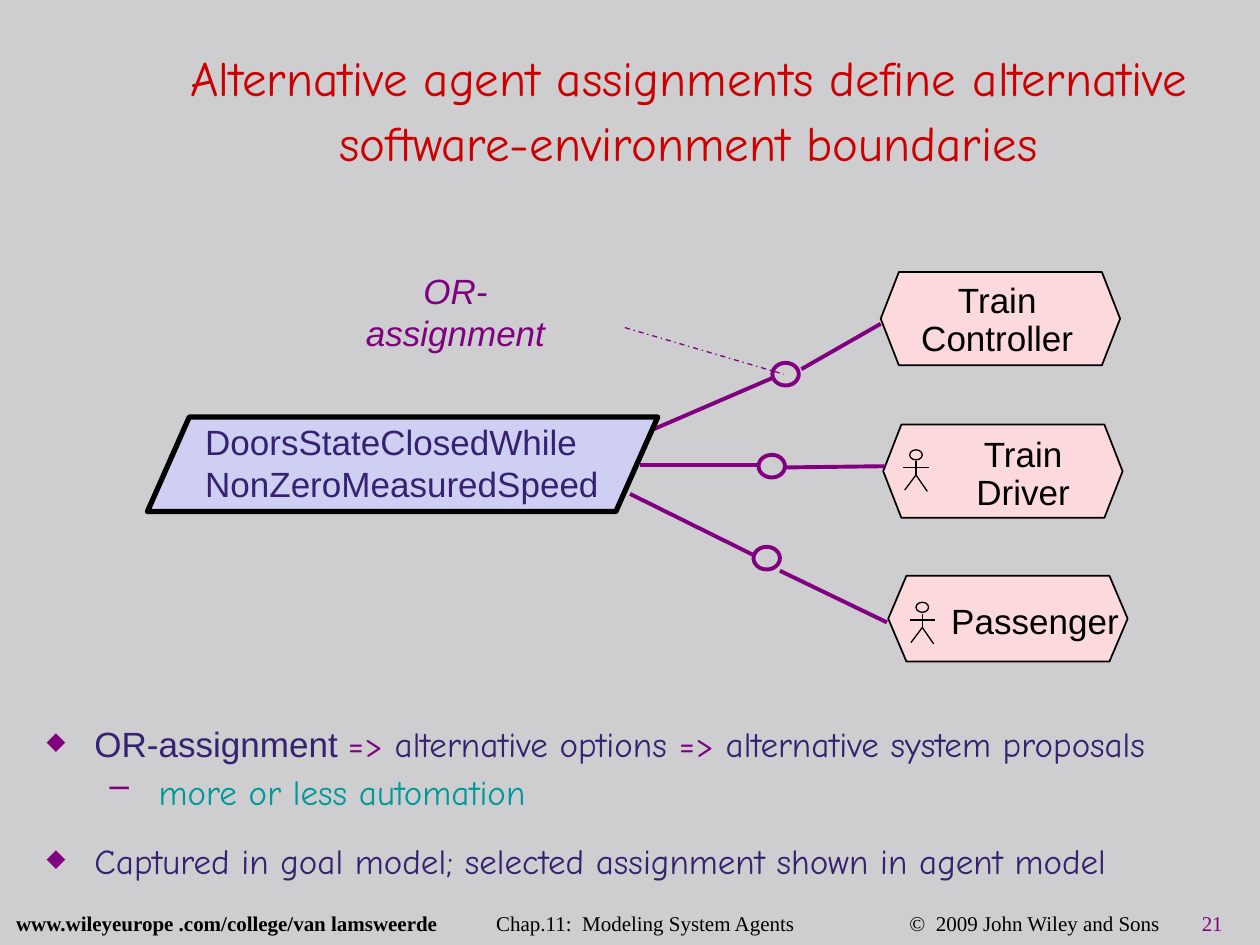
"""Build the slide on alternative agent assignments."""
from typing import NamedTuple, Optional

from lxml.etree import SubElement as Sub
from pptx import Presentation
from pptx.dml.color import RGBColor as Rgb
from pptx.enum.dml import MSO_LINE as Dash
from pptx.enum.shapes import MSO_CONNECTOR as Link, MSO_SHAPE as Kind
from pptx.enum.text import MSO_ANCHOR as Anchor, MSO_AUTO_SIZE as Fit, PP_ALIGN as Align
from pptx.oxml.ns import qn
from pptx.util import Inches, Pt

PURPLE, NAVY, BLACK, TEAL = "800080", "352270", "000000", "009999"
COMIC, ARIAL, TIMES = "Comic Neue", "Arial", "Times New Roman"


class Run(NamedTuple):
    """A piece of text in one format."""
    text: str
    color: str
    font: str = ARIAL
    size: float = 20
    more: dict = {}


class Para(NamedTuple):
    """A paragraph with its runs and spacing."""
    runs: list
    form: dict = {}
    mark: str = ""
    left: float = 0
    hang: float = 0
    scale: int = 100
    tabs: tuple = ()


class Agent(NamedTuple):
    """An agent hexagon, its label and its optional stick figure."""
    names: list
    box: tuple
    adj: float
    label: tuple
    man: Optional[tuple] = None


class Path(NamedTuple):
    """An assignment link passing through a circle."""
    start: tuple
    stop: tuple
    ring: tuple
    leave: tuple
    end: tuple


def paint(color, code: str) -> None:
    """Set a colour from a hex string."""
    color.rgb = Rgb.from_string(code)


def apply(item, form: dict) -> None:
    """Set each attribute named in the dict."""
    for key, value in form.items():
        setattr(item, key, value)


def write(frame, paras: list, form: dict) -> None:
    """Fill a text frame with paragraphs."""
    apply(frame, form)
    for num, para in enumerate(paras):
        line = frame.paragraphs[0] if num == 0 else frame.add_paragraph()
        apply(line, para.form)
        prop = line._p.get_or_add_pPr()
        if para.mark:
            prop.set("marL", str(Inches(para.left)))
            prop.set("indent", str(Inches(-para.hang)))
            Sub(Sub(prop, qn("a:buClr")), qn("a:srgbClr"), val=PURPLE)
            Sub(prop, qn("a:buSzPct"), val=str(para.scale * 1000))
            Sub(prop, qn("a:buChar"), char=para.mark)
        if para.tabs:
            stops = Sub(prop, qn("a:tabLst"))
            for stop in para.tabs:
                Sub(stops, qn("a:tab"), pos=str(Inches(stop)), algn="l")
        for run in para.runs:
            part = line.add_run()
            part.text = run.text
            apply(part.font, {"name": run.font, "size": Pt(run.size), **run.more})
            paint(part.font.color, run.color)


def text(slide, box: tuple, paras: list, **form) -> None:
    """Add a text box."""
    frame = slide.shapes.add_textbox(*map(Inches, box)).text_frame
    write(frame, paras, {"word_wrap": True, **form})


def shape(slide, kind, box: tuple, color: str, width: float, fill: str = "", adj: float = 0) -> None:
    """Add an outlined preset shape."""
    item = slide.shapes.add_shape(kind, *map(Inches, box))
    item.shadow.inherit = False
    if fill:
        item.fill.solid()
        paint(item.fill.fore_color, fill)
    else:
        item.fill.background()
    if adj:
        item.adjustments[0] = adj
    paint(item.line.color, color)
    item.line.width = Pt(width)


def line(slide, start: tuple, end: tuple, color: str = PURPLE, width: float = 2.25, dash=None) -> None:
    """Add a straight line."""
    item = slide.shapes.add_connector(Link.STRAIGHT, *map(Inches, start + end))
    Sub(item._element.spPr, qn("a:effectLst"))
    paint(item.line.color, color)
    item.line.width = Pt(width)
    if dash:
        item.line.dash_style = dash


def person(slide, left: float, top: float) -> None:
    """Draw a stick figure from the corner of its head."""
    shape(slide, Kind.OVAL, (left, top, 0.1, 0.08), BLACK, 0.75)
    limbs = [(0.05, 0.09, 0.05, 0.2), (0.05, 0.2, -0.04, 0.32),
             (0.05, 0.2, 0.14, 0.33), (-0.05, 0.14, 0.15, 0.14)]
    for x1, y1, x2, y2 in limbs:
        line(slide, (left + x1, top + y1), (left + x2, top + y2), BLACK, 0.75)


def agent(slide, item: Agent) -> None:
    """Draw an agent with its label."""
    shape(slide, Kind.HEXAGON, item.box, BLACK, 1, "FBD9DC", item.adj)
    tight = {"line_spacing": 0.3, "space_before": Pt(12)}
    paras = [Para([Run(name, BLACK)], {"alignment": Align.CENTER, **(tight if num else {})})
             for num, name in enumerate(item.names)]
    text(slide, item.label, paras, word_wrap=False, vertical_anchor=Anchor.MIDDLE)
    if item.man:
        person(slide, *item.man)


def path(slide, item: Path) -> None:
    """Draw a link on both sides of its circle."""
    line(slide, item.start, item.stop)
    shape(slide, Kind.OVAL, item.ring + (0.21, 0.18), PURPLE, 2.25)
    line(slide, item.leave, item.end)


AGENTS = [
    Agent(["Train", "Controller"], (6.99, 2.16, 1.9, 0.74), 0.195, (7.21, 2.16, 1.41, 0.7)),
    Agent(["Train", "Driver"], (7.01, 3.37, 1.9, 0.74), 0.195, (7.65, 3.38, 0.94, 0.7), (7.22, 3.57)),
    Agent(["Passenger"], (7.05, 4.57, 1.9, 0.68), 0.212, (7.45, 4.71, 1.53, 0.43), (7.27, 4.78)),
]
PATHS = [
    Path((5.11, 3.44), (6.13, 3), (6.13, 2.88), (6.36, 2.93), (6.99, 2.57)),
    Path((5.08, 3.69), (6.01, 3.69), (6.02, 3.61), (6.24, 3.71), (7.02, 3.7)),
    Path((5, 3.92), (5.97, 4.4), (5.98, 4.34), (6.19, 4.53), (7.04, 4.94)),
]
POINTS = [
    Para([Run("OR-assignment ", NAVY), Run("=>", PURPLE, COMIC),
          Run(" alternative options ", NAVY, COMIC), Run("=>", PURPLE, COMIC),
          Run(" alternative system proposals", NAVY, COMIC)],
         {"line_spacing": 1.1}, "◆", 0.38, 0.38, 70),
    Para([Run("more or less automation", TEAL, COMIC)],
         {"level": 1, "line_spacing": 0.6, "space_before": Pt(12)}, "–", 0.89, 0.39),
    Para([Run("Captured in goal model; selected assignment shown in agent model", NAVY, COMIC)],
         {"line_spacing": 1.2, "space_before": Pt(12)}, "◆", 0.38, 0.38, 70),
]
FOOT = Para([Run("www.wileyeurope .com/college/van lamsweerde", BLACK, TIMES, 12, {"bold": True}),
             Run("\tChap.11:  Modeling System Agents\t©  2009 John Wiley and Sons\t", BLACK, TIMES, 12),
             Run("21", PURPLE, TIMES, 12)],
            {"line_spacing": 0.7}, tabs=(3.81, 7.09, 9.41))


def main() -> None:
    """Build and save the slide."""
    deck = Presentation()
    deck.slide_width, deck.slide_height = Inches(10), Inches(7.5)
    slide = deck.slides.add_slide(deck.slide_layouts[5])
    slide.background.fill.solid()
    paint(slide.background.fill.fore_color, "CECED0")

    title = slide.shapes.title
    apply(title, dict(zip(("left", "top", "width", "height"), map(Inches, (1.2, 0.3, 8.53, 1.09)))))
    head = "Alternative agent assignments define alternative software-environment boundaries"
    write(title.text_frame,
          [Para([Run(head, "CC0000", COMIC, 28)], {"alignment": Align.CENTER, "line_spacing": 1.1})],
          {"word_wrap": True, "auto_size": Fit.NONE, "vertical_anchor": Anchor.MIDDLE})

    for item in AGENTS:
        agent(slide, item)
    for item in PATHS:
        path(slide, item)
    text(slide, (2.55, 2.26, 2.13, 0.43),
         [Para([Run("OR-assignment", PURPLE, more={"italic": True})], {"alignment": Align.CENTER})],
         word_wrap=False, vertical_anchor=Anchor.MIDDLE)
    line(slide, (4.96, 2.6), (6.22, 2.97), width=0.75, dash=Dash.DASH_DOT)
    shape(slide, Kind.PARALLELOGRAM, (1.17, 3.31, 4.05, 0.75), BLACK, 3, "CECFF2", 0.443)
    text(slide, (1.53, 3.29, 3.53, 0.75),
         [Para([Run(name, NAVY)]) for name in ("DoorsStateClosedWhile", "NonZeroMeasuredSpeed")])
    text(slide, (0.17, 5.65, 9.63, 1.22), POINTS, margin_left=Inches(0.2))
    text(slide, (0.03, 7.23, 9.97, 0.24), [FOOT])
    deck.save("out.pptx")


if __name__ == "__main__":
    main()
